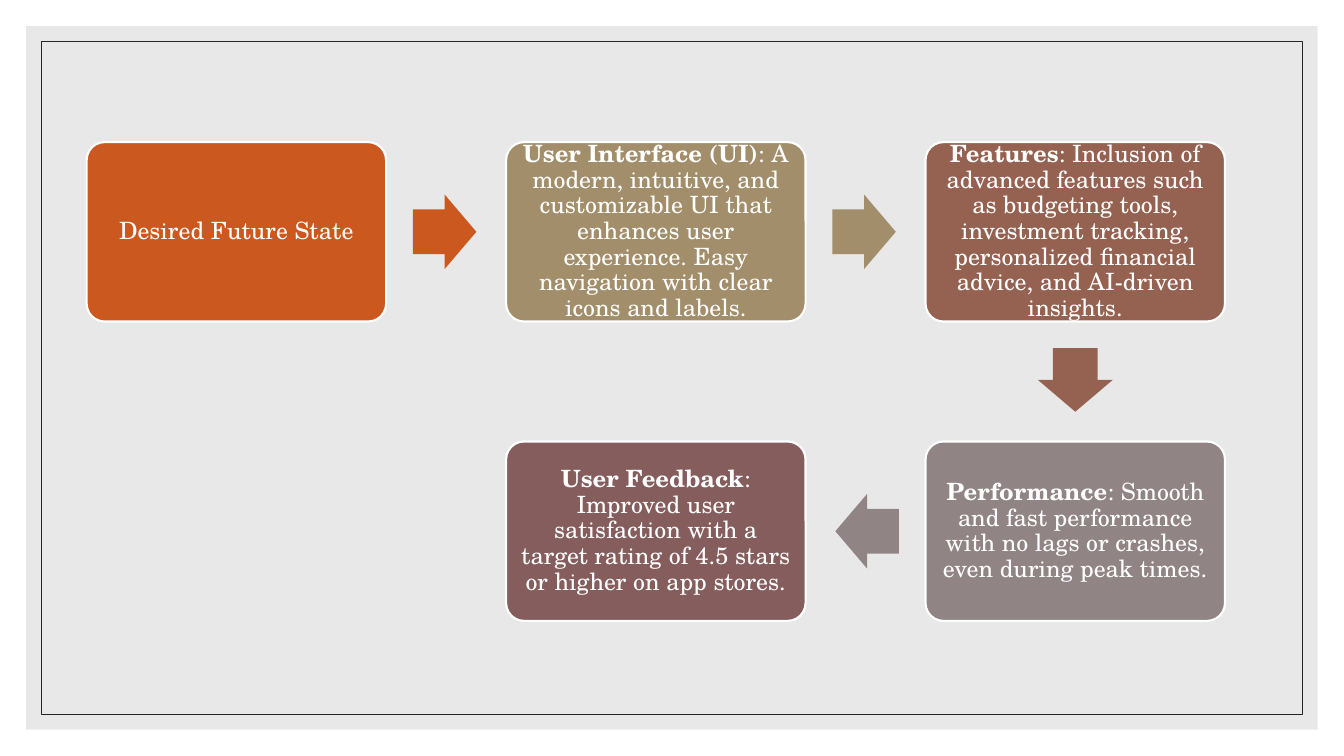
"""Builds a slide that walks through the desired future state of an app."""
import math
from pptx import Presentation
from pptx.dml.color import RGBColor
from pptx.enum import shapes, text
from pptx.oxml.ns import qn
from pptx.util import Inches, Pt
from lxml import etree

# fields: column, row, colour, bold lead, plain rest
CARDS = [
    (0, 0, "CB581F", "", "Desired Future State"),
    (1, 0, "A28E6A", "User Interface (UI)",
     ": A modern, intuitive, and customizable UI that enhances user "
     "experience. Easy navigation with clear icons and labels."),
    (2, 0, "956251", "Features",
     ": Inclusion of advanced features such as budgeting tools, investment "
     "tracking, personalized financial advice, and AI-driven insights."),
    (2, 1, "918485", "Performance",
     ": Smooth and fast performance with no lags or crashes, even during "
     "peak times."),
    (1, 1, "855D5D", "User Feedback",
     ": Improved user satisfaction with a target rating of 4.5 stars or "
     "higher on app stores."),
]
THEME = {"font": "TeX Gyre Schola", "size": 17, "white": "FFFFFF",
         "panel": "D9D9D9", "frame": "262626"}
WIDE, HIGH = 13.33, 7.5
LEFT, TOP = 0.86, 1.41
CARD_W, CARD_H = 2.97, 1.78
STEP_X, STEP_Y = 4.16, 2.97
ARROW_W, ARROW_H, LAG = 0.63, 0.74, 0.015
KIND = shapes.MSO_SHAPE


def rgb(name):
    """Turn a hex string into a colour."""
    return RGBColor.from_string(name)


def draw(slide, kind, box, fill=None, line=None, width=1):
    """Add a flat preset shape."""
    shape = slide.shapes.add_shape(kind, *map(Inches, box))
    shape.shadow.inherit = False
    if fill:
        shape.fill.solid()
        shape.fill.fore_color.rgb = rgb(fill)
    else:
        shape.fill.background()
    if line:
        shape.line.color.rgb = rgb(line)
        shape.line.width = Pt(width)
    else:
        shape.line.fill.background()
    return shape


def inset(gap):
    """Give a box held in from the slide edge by a gap."""
    return gap, gap, WIDE - 2 * gap, HIGH - 2 * gap


def frame(slide):
    """Draw the tinted panel and its thin border."""
    panel = draw(slide, KIND.RECTANGLE, inset(0.26), THEME["panel"])
    tint = panel.fill._xPr.find(".//" + qn("a:srgbClr"))
    etree.SubElement(tint, qn("a:alpha"), val="60000")
    draw(slide, KIND.RECTANGLE, inset(0.41), line=THEME["frame"], width=0.5)


def card(slide, col, row, fill, lead, rest):
    """Draw one rounded card with its text."""
    box = LEFT + col * STEP_X, TOP + row * STEP_Y, CARD_W, CARD_H
    shape = draw(slide, KIND.ROUNDED_RECTANGLE, box, fill, THEME["white"], 1.5)
    shape.adjustments[0] = 0.1
    body = shape.text_frame
    body.word_wrap = True
    body.vertical_anchor = text.MSO_ANCHOR.MIDDLE
    body.margin_left = body.margin_right = Inches(0.07)
    body.margin_top = body.margin_bottom = Inches(0.07)
    para = body.paragraphs[0]
    para.alignment = text.PP_ALIGN.CENTER
    para.line_spacing = 0.9
    for words, bold in ((lead, True), (rest, False)):
        if words:
            run = para.add_run()
            run.text = words
            run.font.name = THEME["font"]
            run.font.size = Pt(THEME["size"])
            run.font.bold = bold
            run.font.color.rgb = rgb(THEME["white"])


def arrow(slide, start, end):
    """Draw the arrow between two neighbouring cards."""
    turn = math.atan2(end[1] - start[1], end[0] - start[0])
    mid_x = LEFT + CARD_W / 2 + (start[0] + end[0]) / 2 * STEP_X
    mid_y = TOP + CARD_H / 2 + (start[1] + end[1]) / 2 * STEP_Y
    mid_x -= LAG * math.cos(turn)
    mid_y -= LAG * math.sin(turn)
    box = mid_x - ARROW_W / 2, mid_y - ARROW_H / 2, ARROW_W, ARROW_H
    shape = draw(slide, KIND.RIGHT_ARROW, box, start[2])
    shape.adjustments[0], shape.adjustments[1] = 0.6, 0.5
    shape.rotation = math.degrees(turn)


def main():
    """Build and save the slide."""
    deck = Presentation()
    deck.slide_width, deck.slide_height = Inches(WIDE), Inches(HIGH)
    slide = deck.slides.add_slide(deck.slide_layouts[6])
    slide.background.fill.solid()
    slide.background.fill.fore_color.rgb = rgb(THEME["white"])
    frame(slide)
    for item in CARDS:
        card(slide, *item)
    for start, end in zip(CARDS, CARDS[1:]):
        arrow(slide, start, end)
    deck.save("out.pptx")


if __name__ == "__main__":
    main()
